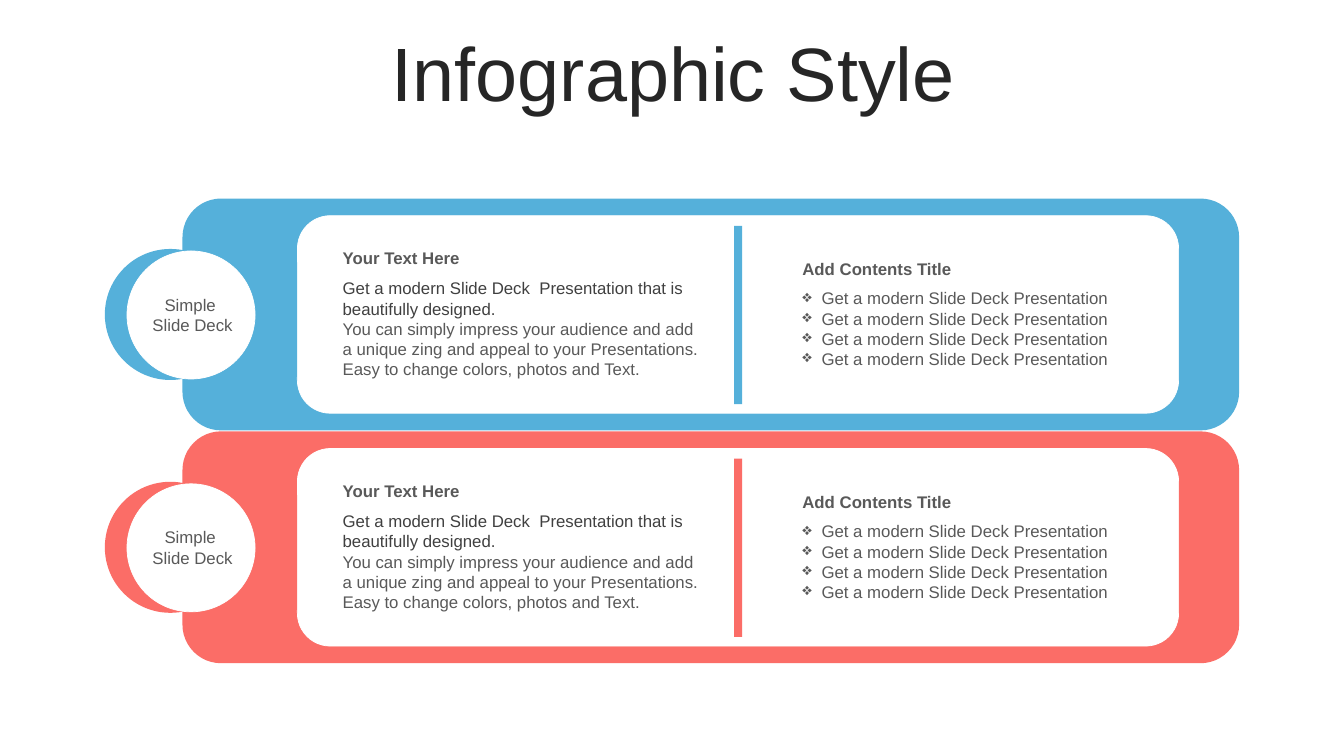
from lxml import etree
from pptx import Presentation
from pptx.dml.color import RGBColor
from pptx.enum import shapes, text
from pptx.oxml import ns
from pptx.util import Pt

PX = 9144  # EMU per px, 100 px to the inch
WHITE = RGBColor(0xFF, 0xFF, 0xFF)
BLUE = RGBColor(0x55, 0xB0, 0xDA)
CORAL = RGBColor(0xFB, 0x6D, 0x67)
TITLE_INK = RGBColor(0x26, 0x26, 0x26)
DARK_INK = RGBColor(0x40, 0x40, 0x40)
INK = RGBColor(0x59, 0x59, 0x59)
FONT = "Arial"

LABEL = ["Simple ", "Slide Deck"]
SUMMARY = [
    "Get a modern Slide Deck  Presentation that is beautifully designed.",
    "You can simply impress your audience and add a unique zing and appeal to "
    "your Presentations. Easy to change colors, photos and Text.",
]
CONTENTS = ["Get a modern Slide Deck Presentation"] * 4


def px(*lengths):
    return [length * PX for length in lengths]


def set_font(paragraph, size, color, bold=False):
    font = paragraph.font
    font.name, font.size, font.bold = FONT, Pt(size), bold
    font.color.rgb = color


def add_block(slide, kind, box, color, outlined=False):
    block = slide.shapes.add_shape(kind, *px(*box))
    block.shadow.inherit = False
    block.fill.solid()
    block.fill.fore_color.rgb = color
    if outlined:
        block.line.color.rgb = color
        block.line.width = Pt(0.5)
    else:
        block.line.fill.background()


def add_bullet(paragraph):
    properties = paragraph._p.get_or_add_pPr()
    properties.set("marL", str(19 * PX))
    properties.set("indent", str(-19 * PX))
    etree.SubElement(properties, ns.qn("a:buChar")).set("char", "❖")


def add_text(slide, box, lines, colors=(INK,), bold=False, centered=False, bulleted=False):
    frame = slide.shapes.add_textbox(*px(*box)).text_frame
    frame.word_wrap = True
    frame.text = "\n".join(lines)
    for i, paragraph in enumerate(frame.paragraphs):
        if centered:
            paragraph.alignment = text.PP_ALIGN.CENTER
        if bulleted:
            add_bullet(paragraph)
        set_font(paragraph, 12, colors[i % len(colors)], bold)


def add_title(slide, box):
    title = slide.shapes.title
    title.left, title.top, title.width, title.height = px(*box)
    frame = title.text_frame
    frame.text = "Infographic Style"
    frame.auto_size = text.MSO_AUTO_SIZE.NONE
    frame.vertical_anchor = text.MSO_ANCHOR.MIDDLE
    heading = frame.paragraphs[0]
    heading.alignment = text.PP_ALIGN.CENTER
    heading.line_spacing = 0.9
    set_font(heading, 54, TITLE_INK)


def add_band(slide, box, color):
    left, top, width, height = box
    rounded = shapes.MSO_SHAPE.ROUNDED_RECTANGLE
    oval = shapes.MSO_SHAPE.OVAL

    # Coloured band with its white panel
    add_block(slide, rounded, box, color)
    add_block(slide, rounded, (left + 114, top + 17, width - 174, height - 34), WHITE, True)

    # Crescent and label on the left edge
    add_block(slide, oval, (left - 77, top + 50, 130, 130), color)
    add_block(slide, oval, (left - 55, top + 52, 127, 127), WHITE, True)
    add_text(slide, (left - 47, top + 90, 114, 50), LABEL, centered=True)

    # Divider between the two columns
    add_block(slide, shapes.MSO_SHAPE.RECTANGLE, (left + 547, top + 27, 8, 177), color)

    # Summary column
    add_text(slide, (left + 149, top + 44, 378, 30), ["Your Text Here"], bold=True)
    add_text(slide, (left + 149, top + 74, 378, 111), SUMMARY, (DARK_INK, INK))

    # Contents column
    add_text(slide, (left + 605, top + 55, 345, 30), ["Add Contents Title"], bold=True)
    add_text(slide, (left + 605, top + 84, 345, 91), CONTENTS, bulleted=True)


def main():
    deck = Presentation()
    deck.slide_width, deck.slide_height = px(1333, 750)
    slide = deck.slides.add_slide(deck.slide_layouts[5])
    add_title(slide, (35, 37, 1266, 79))
    for row, color in enumerate((BLUE, CORAL)):
        add_band(slide, (181, 197 + 231 * row, 1048, 230), color)
    deck.save("out.pptx")


if __name__ == "__main__":
    main()
